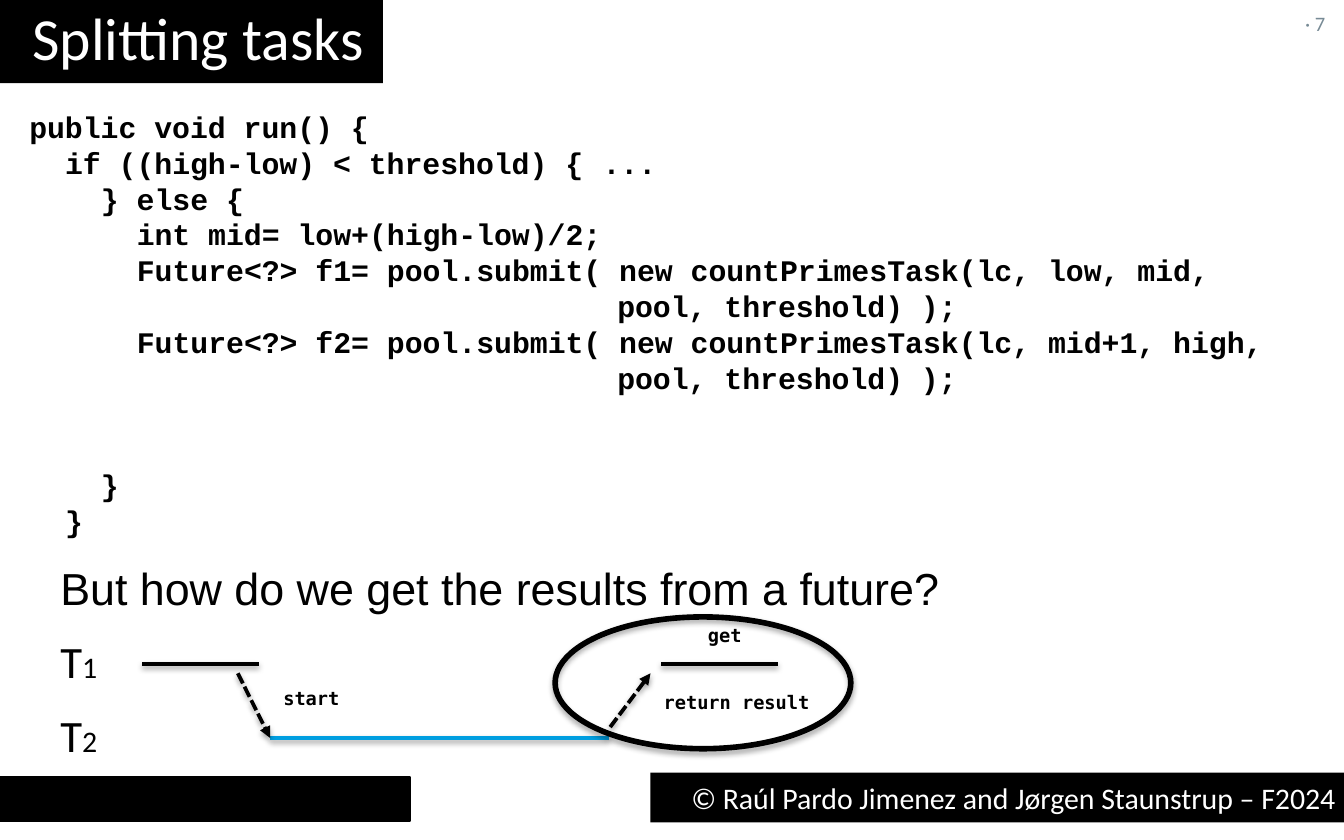
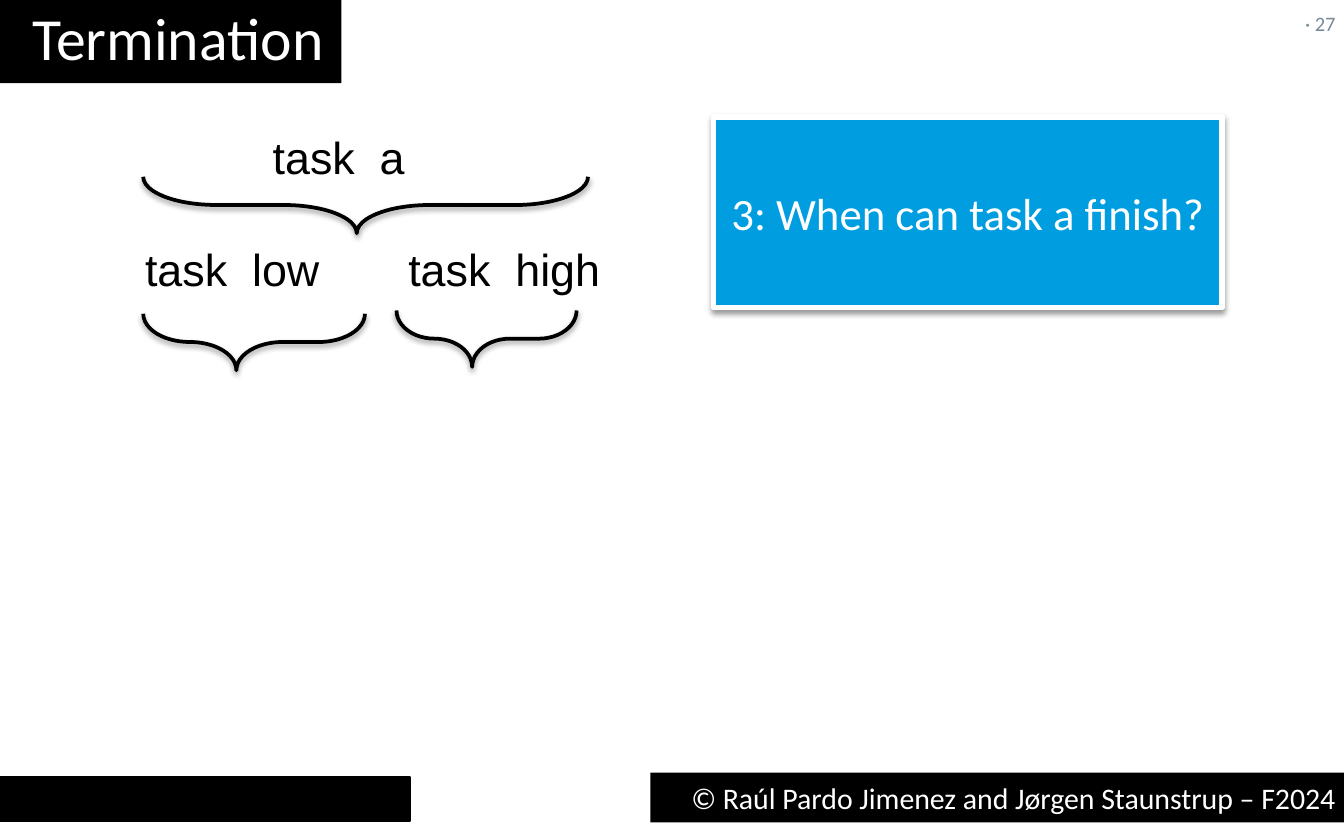
from lxml import etree
from pptx import Presentation
from pptx.dml.color import RGBColor
from pptx.enum.dml import MSO_LINE
from pptx.enum.shapes import MSO_CONNECTOR, MSO_SHAPE
from pptx.enum.text import MSO_ANCHOR, PP_ALIGN
from pptx.oxml.ns import qn
from pptx.util import Pt

RECTANGLE, ELLIPSE, BRACE = MSO_SHAPE.RECTANGLE, MSO_SHAPE.OVAL, MSO_SHAPE.RIGHT_BRACE
STRAIGHT, DASH = MSO_CONNECTOR.STRAIGHT, MSO_LINE.SQUARE_DOT
MIDDLE, TOP = MSO_ANCHOR.MIDDLE, MSO_ANCHOR.TOP
LEFT, CENTER, RIGHT = PP_ALIGN.LEFT, PP_ALIGN.CENTER, PP_ALIGN.RIGHT

COLORS = {"black": "000000", "white": "FFFFFF", "blue": "009EE0", "gray": "778A95"}
HEADING, BODY, CODE, CAPTION = "Calibri", "Arial", "Courier New", "DejaVu Sans Mono"
INSETS = (7.2, 3.6, 7.2, 3.6)
FOOTER = "© Raúl Pardo Jimenez and Jørgen Staunstrup – F2024"

CODE_CHARACTER = 9.6
CODE_LINE = 19.2
CONTINUATION = 315
# Each line: indent in characters, text, blank lines before it
CODE_LINES = [
    (0, "public void run() {", 0),
    (2, "if ((high-low) < threshold) {\t...", 0),
    (4, "} else {", 0),
    (6, "int mid= low+(high-low)/2;", 0),
    (6, "Future<?> f1= pool.submit( new countPrimesTask(lc, low, mid,\n"
        "pool, threshold) );", 0),
    (6, "Future<?> f2= pool.submit( new countPrimesTask(lc, mid+1, high,\n"
        "pool, threshold) );", 0),
    (4, "}", 2),
    (2, "}", 0),
]


def color(name):
    return RGBColor.from_string(COLORS[name])


def add_run(paragraph, text, size, font, color_name="black", bold=False):
    run = paragraph.add_run()
    run.text = text
    run.font.size = Pt(size)
    run.font.name = font
    run.font.bold = bold
    run.font.color.rgb = color(color_name)


def set_effects(shape, shadow=False, blur=3.1, distance=1.6, opacity=38):
    """Give the shape a downward shadow, or an empty effect list."""
    properties = shape._element.spPr
    for old in properties.findall(qn("a:effectLst")):
        properties.remove(old)
    effects = etree.SubElement(properties, qn("a:effectLst"))
    if shadow:
        outer = etree.SubElement(effects, qn("a:outerShdw"), blurRad=str(Pt(blur)),
                                 dist=str(Pt(distance)), dir="5400000", rotWithShape="0")
        tint = etree.SubElement(outer, qn("a:srgbClr"), val=COLORS["black"])
        etree.SubElement(tint, qn("a:alpha"), val=str(opacity * 1000))


def add_figure(slide, kind, box, fill=None, line=None, width=1, shadow=False):
    shape = slide.shapes.add_shape(kind, *map(Pt, box))
    if fill:
        shape.fill.solid()
        shape.fill.fore_color.rgb = color(fill)
    else:
        shape.fill.background()
    if line:
        shape.line.color.rgb = color(line)
        shape.line.width = Pt(width)
    else:
        shape.line.fill.background()
    set_effects(shape, shadow)
    return shape


def set_frame(shape, insets=INSETS, anchor=TOP, wrap=True):
    frame = shape.text_frame
    frame.word_wrap = wrap
    frame.vertical_anchor = anchor
    (frame.margin_left, frame.margin_top,
     frame.margin_right, frame.margin_bottom) = map(Pt, insets)
    return frame


def write(shape, text, size, font, color_name, align=LEFT, **frame_options):
    paragraph = set_frame(shape, **frame_options).paragraphs[0]
    paragraph.alignment = align
    add_run(paragraph, text, size, font, color_name)


def add_label(slide, box, runs, font, bold=False):
    """Add one unwrapped line; runs are (text, size) pairs."""
    shape = slide.shapes.add_textbox(*map(Pt, box))
    paragraph = set_frame(shape, wrap=False).paragraphs[0]
    for text, size in runs:
        add_run(paragraph, text, size, font, bold=bold)


def add_line(slide, start, end, line="black", arrow=False):
    """Add a shadowed line; an arrow is dashed and has a head at its end."""
    connector = slide.shapes.add_connector(STRAIGHT, *map(Pt, start + end))
    connector.line.color.rgb = color(line)
    connector.line.width = Pt(2)
    if arrow:
        connector.line.dash_style = DASH
        etree.SubElement(connector.line._get_or_add_ln(), qn("a:tailEnd"), type="triangle")
    set_effects(connector, shadow=True)


def add_brace(slide, left, top, span, point):
    """Add a brace opening upwards; left, top and span are as seen."""
    depth = 30.24
    box = (left + (span - depth) / 2, top + (depth - span) / 2, depth, span)
    brace = add_figure(slide, BRACE, box, line="black", width=2, shadow=True)
    brace.rotation = 90
    brace.adjustments[0] = 1.295
    brace.adjustments[1] = point


def add_code(slide, box, lines):
    frame = set_frame(slide.shapes.add_textbox(*map(Pt, box)))
    for index, (indent, text, blank_lines) in enumerate(lines):
        paragraph = frame.paragraphs[0] if index == 0 else frame.add_paragraph()
        paragraph.line_spacing = Pt(CODE_LINE)
        paragraph.space_before = Pt(blank_lines * CODE_LINE)
        first = indent * CODE_CHARACTER
        margin = CONTINUATION if "\n" in text else first
        properties = paragraph._p.get_or_add_pPr()
        properties.set("marL", str(Pt(margin)))
        properties.set("indent", str(Pt(first - margin)))
        if "\t" in text:
            tabs = etree.SubElement(properties, qn("a:tabLst"))
            etree.SubElement(tabs, qn("a:tab"), pos=str(Pt(36 * CODE_CHARACTER)), algn="l")
        for part_index, part in enumerate(text.split("\n")):
            if part_index:
                paragraph.add_line_break()
            add_run(paragraph, part, 16, CODE, bold=True)


def add_base_slide(presentation, title, title_width, number):
    slide = presentation.slides.add_slide(presentation.slide_layouts[6])
    add_figure(slide, RECTANGLE, (0, 416.2, 219.6, 23.8), "black", "black")
    footer = add_figure(slide, RECTANGLE, (348.5, 414, 374.4, 26.6), "black")
    write(footer, FOOTER, 16, HEADING, "white", RIGHT)
    band = add_figure(slide, RECTANGLE, (0, 0, title_width, 44.6), "black")
    write(band, title, 32, HEADING, "white",
          insets=(17.3, 0, 7.2, 5.8), anchor=MIDDLE, wrap=False)
    page = slide.shapes.add_textbox(*map(Pt, (699.1, 3.6, 18, 17.3)))
    write(page, f"· {number}", 11, HEADING, "gray", insets=(0, 0, 0, 0), anchor=MIDDLE)
    return slide


def add_splitting_slide(presentation):
    slide = add_base_slide(presentation, "Splitting tasks", 205.2, 7)
    add_code(slide, (8.6, 54.7, 697.7, 249.1), CODE_LINES)
    add_label(slide, (25.2, 296.6, 490.3, 36),
              [("But how do we get the results from a future?", 24)], BODY)
    for thread, top in (("1", 336.2), ("2", 375.8)):
        add_label(slide, (25.2, top, 34.6, 36), [("T", 24), (thread, 16)], HEADING)
    first_level, second_level = 355.7, 395.3
    for left in (76.3, 354.2):
        add_line(slide, (left, first_level), (left + 62.6, first_level))
    add_line(slide, (144.7, second_level), (326.2, second_level), "blue")
    add_line(slide, (127.4, 360.7), (144.7, second_level), arrow=True)
    add_line(slide, (326.9, 389.5), (348.5, 360.7), arrow=True)
    for text, left, top, width in (("start", 144.7, 364.3, 44.6),
                                   ("return result", 348.5, 366.5, 93.6),
                                   ("get", 372.2, 330.5, 33.1)):
        add_label(slide, (left, top, width, 19.4), [(text, 10)], CAPTION, bold=True)
    ellipse = add_figure(slide, ELLIPSE, (297.4, 330.5, 158.4, 70.6), line="black", width=3)
    set_effects(ellipse, shadow=True, distance=1.8, opacity=35)


def add_termination_slide(presentation):
    slide = add_base_slide(presentation, "Termination", 182.9, 27)
    add_brace(slide, 76.7, 94.7, 238.3, 0.52)
    add_brace(slide, 76.7, 168.1, 118.8, 0.58)
    add_brace(slide, 212.4, 166.3, 96.5, 0.58)
    for text, left, top, width in (("task  a", 139, 66.2, 85.7),
                                   ("task  low", 70.6, 126, 108.7),
                                   ("task  high", 211.7, 126, 118.1)):
        add_label(slide, (left, top, width, 36), [(text, 24)], BODY)
    question = add_figure(slide, RECTANGLE, (382.3, 62.6, 272.2, 102.2),
                          "blue", "white", 3, shadow=True)
    write(question, "3: When can task a finish?", 24, HEADING, "white", CENTER, anchor=MIDDLE)


def main():
    presentation = Presentation()
    presentation.slide_width, presentation.slide_height = Pt(720), Pt(450)
    add_splitting_slide(presentation)
    add_termination_slide(presentation)
    presentation.save("out.pptx")


if __name__ == "__main__":
    main()
